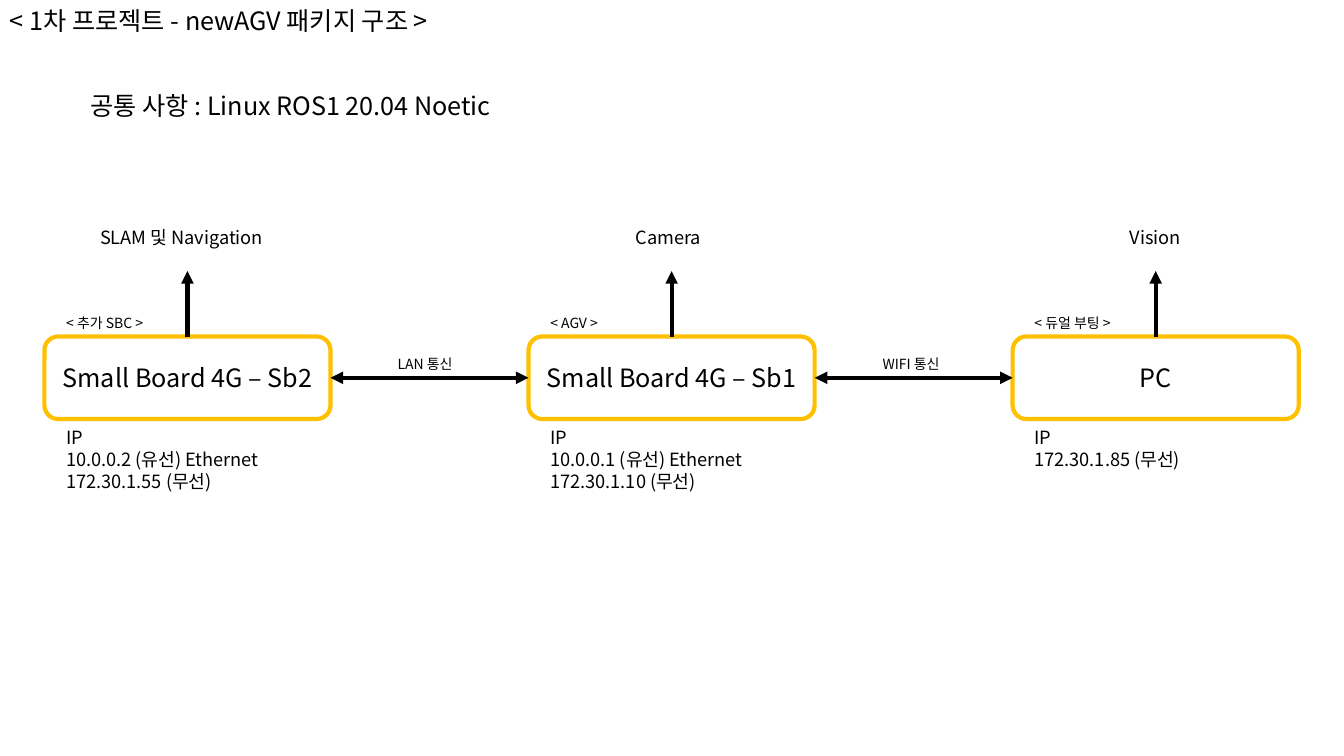
from dataclasses import dataclass

from lxml.etree import SubElement
from pptx import Presentation
from pptx.dml.color import RGBColor
from pptx.enum.shapes import MSO_CONNECTOR as Connector, MSO_SHAPE as Preset
from pptx.enum.text import MSO_ANCHOR as Anchor, MSO_AUTO_SIZE as AutoSize, PP_ALIGN as Align
from pptx.oxml.ns import qn
from pptx.shapes.shapetree import SlideShapes
from pptx.text.text import TextFrame
from pptx.util import Cm, Pt

BLACK = RGBColor(0x00, 0x00, 0x00)
AMBER = RGBColor(0xFF, 0xC0, 0x00)
FONT = "Noto Sans CJK KR"

HEADING, DETAIL, CAPTION = (
    {"size": Pt(size), "name": FONT, "bold": False} for size in (18, 13, 10)
)
LABEL_FRAME = {"word_wrap": True, "auto_size": AutoSize.SHAPE_TO_FIT_TEXT}
NODE_FRAME = {"word_wrap": True, "vertical_anchor": Anchor.MIDDLE}

NODE_LEFT, NODE_TOP = 1.12, 8.48
NODE_WIDTH, NODE_HEIGHT = 7.21, 2.08
NODE_PITCH = 12.2
INSET = 0.3
ROLE_ARROW_TIP = 6.83


@dataclass(frozen=True)
class Node:
    name: str
    note: str
    note_width: float
    role: str
    role_width: float
    addresses: tuple[str, ...]


@dataclass(frozen=True)
class Link:
    medium: str
    width: float


NODES = (
    Node("Small Board 4G – Sb2", "< 추가 SBC >", 2.87, "SLAM 및 Navigation", 4.9,
         ("10.0.0.2 (유선) Ethernet", "172.30.1.55 (무선)")),
    Node("Small Board 4G – Sb1", "< AGV >", 1.98, "Camera", 2.31,
         ("10.0.0.1 (유선) Ethernet", "172.30.1.10 (무선)")),
    Node("PC", "< 듀얼 부팅 >", 2.87, "Vision", 1.8, ("172.30.1.85 (무선)",)),
)
LINKS = (Link("LAN 통신", 2.11), Link("WIFI 통신", 2.06))


def apply_format(target: object, values: dict) -> None:
    for attribute, value in values.items():
        setattr(target, attribute, value)


def write_lines(frame: TextFrame, lines: tuple[str, ...], style: dict,
                align: Align = Align.LEFT) -> None:
    for index, line in enumerate(lines):
        paragraph = frame.paragraphs[0] if index == 0 else frame.add_paragraph()
        paragraph.alignment = align
        run = paragraph.add_run()
        run.text = line
        apply_format(run.font, style)
        run.font.color.rgb = BLACK
        SubElement(run.font._element, qn("a:ea"), typeface=FONT)


def add_label(shapes: SlideShapes, left: float, top: float, width: float, height: float,
              lines: tuple[str, ...], style: dict) -> None:
    label = shapes.add_textbox(Cm(left), Cm(top), Cm(width), Cm(height))
    apply_format(label.text_frame, LABEL_FRAME)
    write_lines(label.text_frame, lines, style)


def add_arrow(shapes: SlideShapes, start: tuple[float, float], end: tuple[float, float],
              ends: tuple[str, ...]) -> None:
    arrow = shapes.add_connector(Connector.STRAIGHT, *map(Cm, start + end))
    arrow.line.color.rgb = BLACK
    arrow.line.width = Pt(3)
    properties = arrow._element.spPr
    outline = properties.find(qn("a:ln"))
    for end_tag in ends:
        SubElement(outline, qn(end_tag), type="triangle")
    SubElement(properties, qn("a:effectLst"))


def add_node(shapes: SlideShapes, node: Node, left: float) -> None:
    center = left + NODE_WIDTH / 2
    box = shapes.add_shape(Preset.ROUNDED_RECTANGLE, Cm(left), Cm(NODE_TOP),
                           Cm(NODE_WIDTH), Cm(NODE_HEIGHT))
    box.shadow.inherit = False
    box.fill.background()
    box.line.color.rgb = AMBER
    box.line.width = Pt(3)
    apply_format(box.text_frame, NODE_FRAME)
    write_lines(box.text_frame, (node.name,), HEADING, Align.CENTER)

    add_label(shapes, left + INSET, 7.8, node.note_width, 0.68, (node.note,), CAPTION)
    add_label(shapes, left + INSET, 10.62, NODE_WIDTH - 2 * INSET,
              0.81 + 0.56 * len(node.addresses), ("IP", *node.addresses), DETAIL)
    add_arrow(shapes, (center, NODE_TOP), (center, ROLE_ARROW_TIP), ("a:tailEnd",))
    add_label(shapes, center - node.role_width / 2, 5.59, node.role_width, 0.81,
              (node.role,), DETAIL)


def add_link(shapes: SlideShapes, link: Link, start: float) -> None:
    end = start + NODE_PITCH - NODE_WIDTH
    middle = NODE_TOP + NODE_HEIGHT / 2
    add_arrow(shapes, (start, middle), (end, middle), ("a:headEnd", "a:tailEnd"))
    add_label(shapes, (start + end - link.width) / 2, 8.84, link.width, 0.68,
              (link.medium,), CAPTION)


def main() -> None:
    deck = Presentation()
    apply_format(deck, {"slide_width": Cm(33.87), "slide_height": Cm(19.05)})
    shapes = deck.slides.add_slide(deck.slide_layouts[6]).shapes

    add_label(shapes, 0, 0, 13.61, 1.03, ("< 1차 프로젝트 - newAGV 패키지 구조 >",), HEADING)
    add_label(shapes, 2.03, 2.16, 11.28, 1.03,
              ("공통 사항 : Linux ROS1 20.04 Noetic",), HEADING)
    for index, node in enumerate(NODES):
        add_node(shapes, node, NODE_LEFT + index * NODE_PITCH)
    for index, link in enumerate(LINKS):
        add_link(shapes, link, NODE_LEFT + NODE_WIDTH + index * NODE_PITCH)

    deck.save("out.pptx")


if __name__ == "__main__":
    main()
